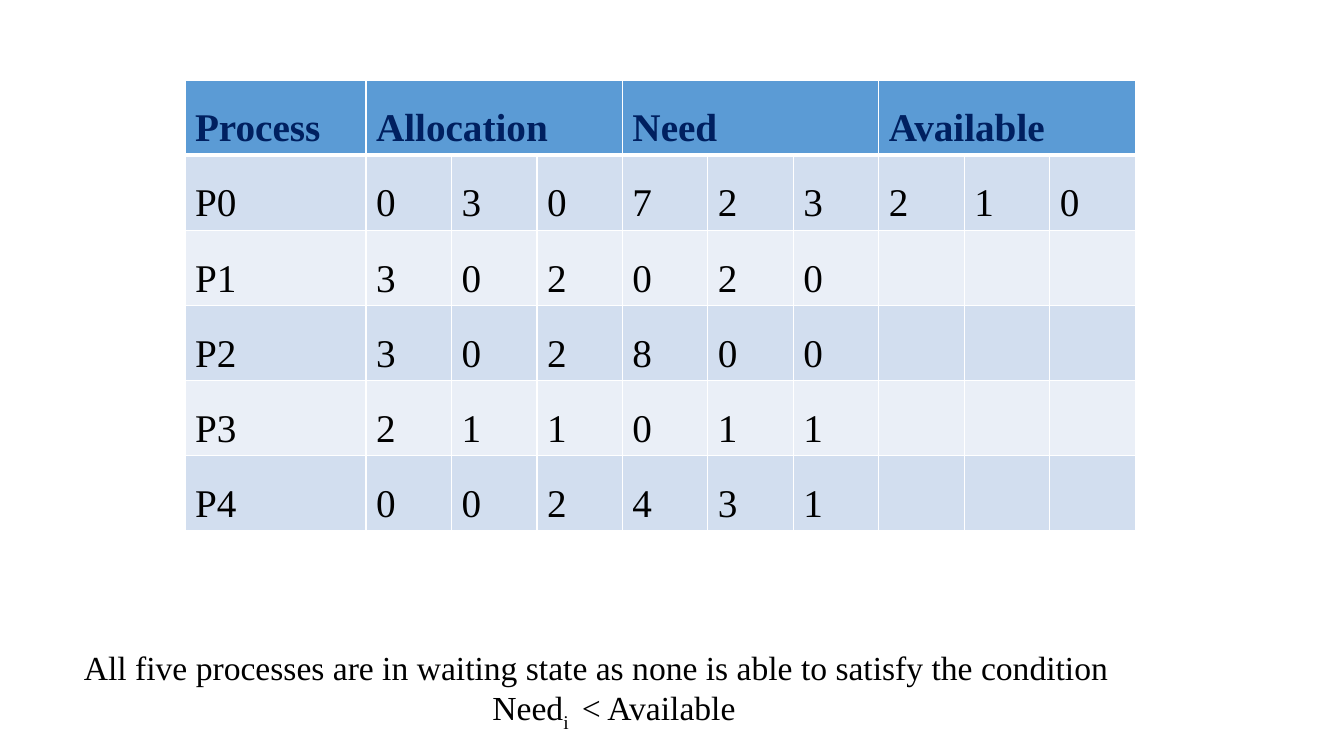
from lxml import etree
from pptx import Presentation
from pptx import util as u
from pptx.dml.color import RGBColor
from pptx.enum import text
from pptx.oxml.ns import qn

EMU_PER_PX = 914400 / 100.8
FONT = "Times New Roman"
HEADER_FILL, BANDS = "5B9BD5", ("D2DEEF", "EAEFF7")
NAVY, BLACK, WHITE = "002060", "000000", "FFFFFF"

PROCESS_WIDTH, DIGIT_WIDTH, ROW_HEIGHT = 181, 85.5, 75
RESOURCES = 3
GROUPS = ["Allocation", "Need", "Available"]
# Process name, then one digit for each resource of each group
PROCESSES = [
    ("P0", "030723210"),
    ("P1", "302020"),
    ("P2", "302800"),
    ("P3", "211011"),
    ("P4", "002431"),
]


def px(length):
    return u.Emu(round(length * EMU_PER_PX))


def colour(value):
    return RGBColor.from_string(value)


def add_run(paragraph, words, size, ink=BLACK, bold=False, baseline=None):
    run = paragraph.add_run()
    run.text = words
    run.font.name = FONT
    run.font.size = u.Pt(size)
    run.font.bold = bold
    run.font.color.rgb = colour(ink)
    if baseline is not None:
        run.font._element.set("baseline", str(baseline))


def set_borders(cell, top, bottom):
    """White borders; widths in points, 1 pt at the sides."""
    properties = cell._tc.get_or_add_tcPr()
    for side, width in (("L", 1), ("R", 1), ("T", top), ("B", bottom)):
        line = etree.SubElement(properties, qn(f"a:ln{side}"), w=str(u.Pt(width)))
        fill = etree.SubElement(line, qn("a:solidFill"))
        etree.SubElement(fill, qn("a:srgbClr"), val=WHITE)


def style_cell(cell, fill, top=1, bottom=1):
    set_borders(cell, top, bottom)
    cell.fill.solid()
    cell.fill.fore_color.rgb = colour(fill)


def write_cell(cell, words, ink=BLACK, bold=False):
    paragraph = cell.text_frame.paragraphs[0]
    paragraph.line_spacing = 1.5
    add_run(paragraph, words, 28, ink, bold)


def add_process_table(slide):
    digits = RESOURCES * len(GROUPS)
    rows = len(PROCESSES) + 1
    table = slide.shapes.add_table(
        rows, digits + 1, px(185), px(80),
        px(PROCESS_WIDTH + digits * DIGIT_WIDTH), px(rows * ROW_HEIGHT)).table
    for index, column in enumerate(table.columns):
        column.width = px(DIGIT_WIDTH if index else PROCESS_WIDTH)
    for row in table.rows:
        row.height = px(ROW_HEIGHT)

    # Header with one merged cell for each group
    for column in range(digits + 1):
        style_cell(table.cell(0, column), HEADER_FILL, bottom=3)
    write_cell(table.cell(0, 0), "Process", NAVY, True)
    for index, group in enumerate(GROUPS):
        first = 1 + index * RESOURCES
        table.cell(0, first).merge(table.cell(0, first + RESOURCES - 1))
        write_cell(table.cell(0, first), group, NAVY, True)

    # Banded process rows
    for row, (process, values) in enumerate(PROCESSES, start=1):
        for column in range(digits + 1):
            style_cell(table.cell(row, column), BANDS[(row - 1) % 2],
                       top=3 if row == 1 else 1)
        for column, words in enumerate([process, *values]):
            write_cell(table.cell(row, column), words)


def add_conclusion(slide):
    frame = slide.shapes.add_textbox(px(74), px(642), px(1080), px(92)).text_frame
    frame.word_wrap = True
    add_run(frame.paragraphs[0], "All five processes are in waiting state as none "
            "is able to satisfy the condition", 24)
    condition = frame.add_paragraph()
    condition.alignment = text.PP_ALIGN.CENTER
    add_run(condition, "Need", 24)
    add_run(condition, "i ", 24, baseline=-25000)
    add_run(condition, " < Available", 24)


def main():
    deck = Presentation()
    deck.slide_width, deck.slide_height = px(1344), px(756)
    slide = deck.slides.add_slide(deck.slide_layouts[6])
    add_process_table(slide)
    add_conclusion(slide)
    deck.save("out.pptx")


if __name__ == "__main__":
    main()
